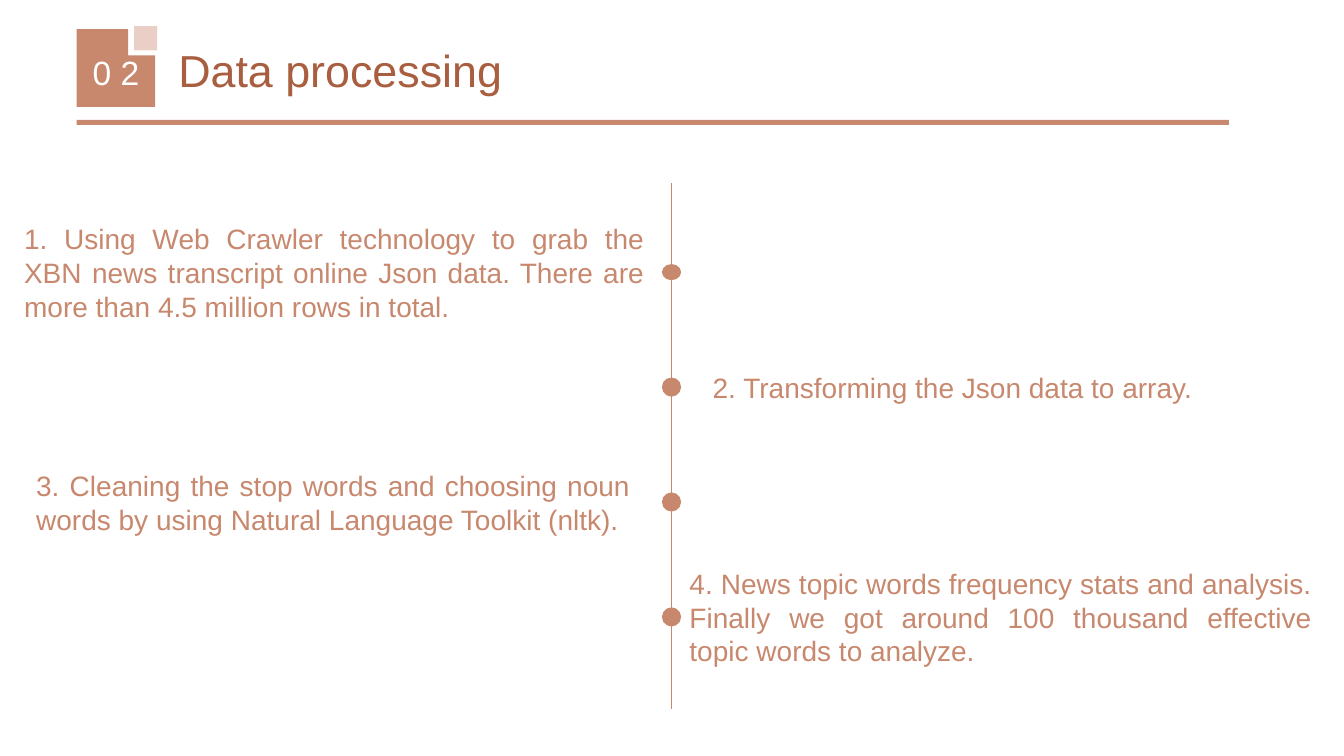
from dataclasses import dataclass

from lxml import etree
from pptx import Presentation
from pptx.dml.color import RGBColor
from pptx.enum.shapes import MSO_CONNECTOR, MSO_SHAPE
from pptx.enum.text import MSO_ANCHOR, PP_ALIGN
from pptx.oxml.ns import qn
from pptx.util import Inches, Pt

OVAL, RECT = MSO_SHAPE.OVAL, MSO_SHAPE.RECTANGLE
STRAIGHT = MSO_CONNECTOR.STRAIGHT
MIDDLE, BOTTOM = MSO_ANCHOR.MIDDLE, MSO_ANCHOR.BOTTOM
LEFT, CENTER, JUSTIFY = PP_ALIGN.LEFT, PP_ALIGN.CENTER, PP_ALIGN.JUSTIFY


@dataclass(frozen=True)
class Theme:
    font: str = "Arial"
    accent: str = "C8886E"
    dark: str = "A95E40"
    pale: str = "E9CFC5"
    white: str = "FFFFFF"
    title: int = 32
    number: int = 24
    body: int = 20


class SlideBuilder:
    def __init__(self, slide, theme):
        self.s = slide
        self.theme = theme

    def paint(self, sp, color):
        sp.shadow.inherit = False
        sp.fill.solid()
        sp.fill.fore_color.rgb = RGBColor.from_string(color)
        sp.line.fill.background()
        return sp

    def shape(self, kind, x, y, w, h, color):
        box = [Inches(v) for v in (x, y, w, h)]
        return self.paint(self.s.shapes.add_shape(kind, *box), color)

    def freeform(self, points, color):
        corners = [(Inches(x), Inches(y)) for x, y in points]
        builder = self.s.shapes.build_freeform(*corners[0])
        builder.add_line_segments(corners[1:], close=True)
        return self.paint(builder.convert_to_shape(), color)

    def line(self, x1, y1, x2, y2, color, width):
        ends = [Inches(v) for v in (x1, y1, x2, y2)]
        cxn = self.s.shapes.add_connector(STRAIGHT, *ends)
        cxn.line.color.rgb = RGBColor.from_string(color)
        cxn.line.width = Pt(width)
        etree.SubElement(cxn._element.spPr, qn("a:effectLst"))

    def label(self, sp, text, size, color, align=LEFT, **frame):
        tf = sp.text_frame
        for name, value in {"word_wrap": True, "vertical_anchor": MIDDLE, **frame}.items():
            setattr(tf, name, value)
        p = tf.paragraphs[0]
        p.alignment = align
        r = p.add_run()
        r.text = text
        for name, value in {"name": self.theme.font, "size": Pt(size)}.items():
            setattr(r.font, name, value)
        r.font.color.rgb = RGBColor.from_string(color)

    def text(self, x, y, w, h, *args, **kwargs):
        box = [Inches(v) for v in (x, y, w, h)]
        self.label(self.s.shapes.add_textbox(*box), *args, **kwargs)


# Timeline geometry
AXIS_X = 6.66
DOT = 0.19
FIRST_Y, STEP_Y = 2.7, 1.14
TEXT_H = 0.65

# Text, left, width, alignment, dot height
STEPS = [
    ("1. Using Web Crawler technology to grab the XBN news transcript online "
     "Json data. There are more than 4.5 million rows in total.",
     0.14, 6.35, JUSTIFY, 0.16),
    ("2. Transforming the Json data to array.", 6.97, 6.37, LEFT, DOT),
    ("3. Cleaning the stop words and choosing noun words by using "
     "Natural Language Toolkit (nltk).", 0.26, 6.09, JUSTIFY, DOT),
    ("4. News topic words frequency stats and analysis. Finally we got around "
     "100 thousand effective topic words to analyze.",
     6.74, 6.37, JUSTIFY, DOT),
]


def main():
    prs = Presentation()
    prs.slide_width, prs.slide_height = Inches(13.33), Inches(7.5)
    theme = Theme()
    b = SlideBuilder(prs.slides.add_slide(prs.slide_layouts[6]), theme)

    # Timeline
    b.line(AXIS_X, 1.82, AXIS_X, 7.03, theme.accent, 0.5)
    for i, (text, x, w, align, dot_h) in enumerate(STEPS):
        mid = FIRST_Y + i * STEP_Y
        b.shape(OVAL, AXIS_X - DOT / 2, mid - dot_h / 2, DOT, dot_h, theme.accent)
        b.text(x, mid - TEXT_H / 2, w, TEXT_H, text, theme.body, theme.accent, align)

    # Title
    b.text(1.67, 0.21, 10.9, 0.8, "Data processing", theme.title, theme.dark,
           vertical_anchor=BOTTOM)

    # Section number in a notched square
    notch = [(0.76, 0.29), (1.27, 0.29), (1.27, 0.55), (1.54, 0.55), (1.54, 1.06), (0.76, 1.06)]
    b.label(b.freeform(notch, theme.accent), "0 2", theme.number, theme.white, CENTER,
            margin_left=0, margin_top=Inches(0.08), margin_right=0, margin_bottom=0)

    # Header rule and corner square
    b.shape(RECT, 0.76, 1.19, 11.43, 0.05, theme.accent)
    b.shape(RECT, 1.33, 0.26, 0.23, 0.24, theme.pale)

    prs.save("out.pptx")


if __name__ == "__main__":
    main()
